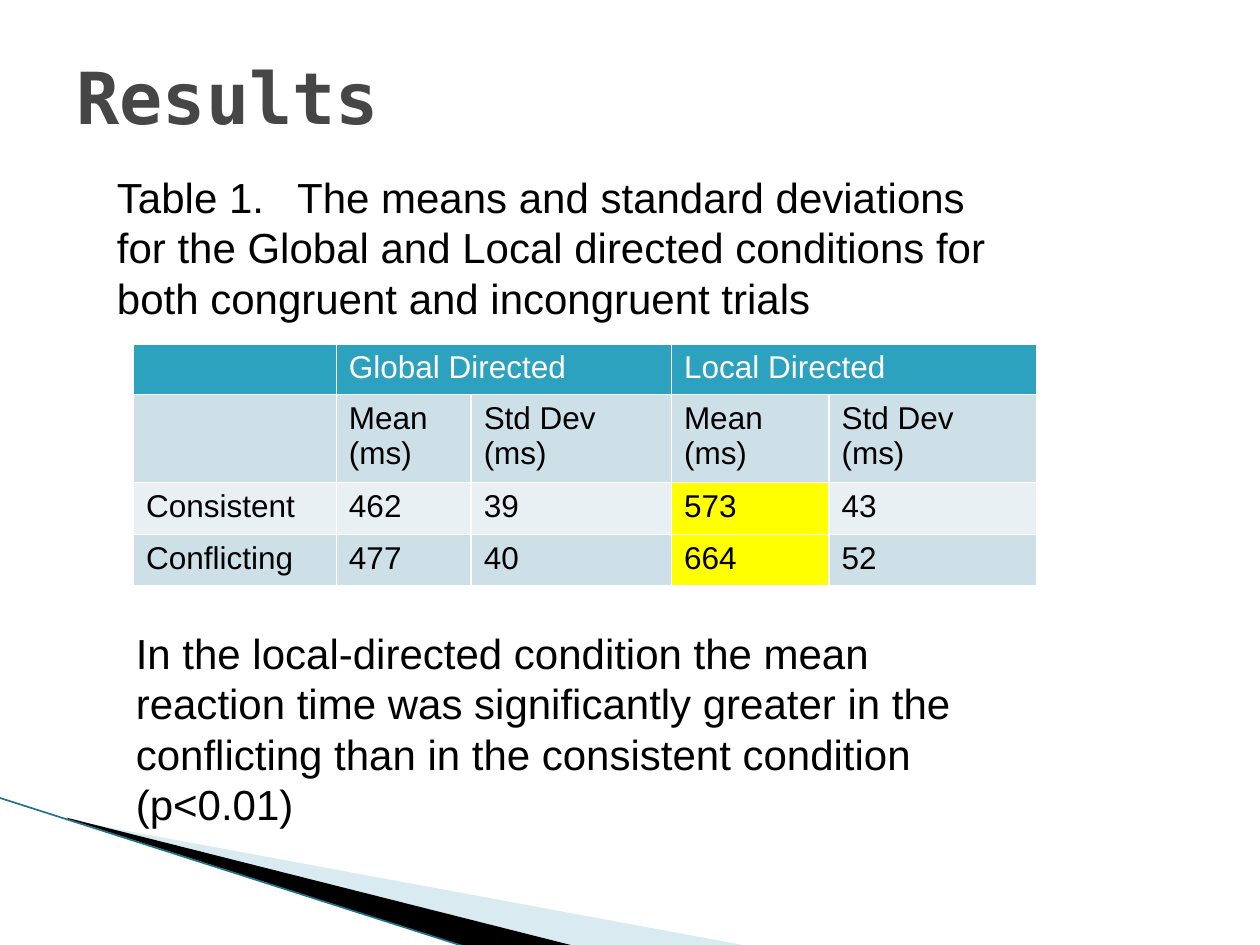
"""Build the Results slide with its table of reaction times."""
from lxml.etree import SubElement
from pptx import Presentation
from pptx.dml.color import RGBColor
from pptx.enum.shapes import MSO_CONNECTOR
from pptx.enum.text import MSO_ANCHOR
from pptx.oxml.ns import qn
from pptx.util import Inches, Pt

WHITE = RGBColor(0xFF, 0xFF, 0xFF)
BLACK = RGBColor(0, 0, 0)
GRAY = RGBColor(0x46, 0x46, 0x46)
TEAL = RGBColor(0x2D, 0xA2, 0xBF)
DARK = RGBColor(0xCD, 0xE0, 0xE8)
LIGHT = RGBColor(0xE8, 0xF0, 0xF4)
YELLOW = RGBColor(0xFF, 0xFF, 0)
PALE = RGBColor(0xA0, 0xCB, 0xDC)
EDGE = RGBColor(0x1F, 0x74, 0x88)

TITLE = "Results"
CAPTION = ("Table 1.\tThe means and standard deviations for the Global and "
           "Local directed conditions for both congruent and incongruent trials")
FINDING = ("In the local-directed condition the mean reaction time was "
           "significantly greater in the conflicting than in the consistent "
           "condition (p<0.01)")
ROWS = [
    ["", "Global Directed", "", "Local Directed", ""],
    ["", "Mean\n(ms)", "Std Dev\n(ms)", "Mean (ms)", "Std Dev\n(ms)"],
    ["Consistent", "462", "39", "573", "43"],
    ["Conflicting", "477", "40", "664", "52"],
]
WIDTHS = [1.61, 1.07, 1.59, 1.25, 1.65]
HEIGHTS = [0.4, 0.7, 0.41, 0.41]
FILLS = [TEAL, DARK, LIGHT, DARK]
MARKED = {(2, 3), (3, 3)}
WEDGES = [
    ((78, 547, 416, 158),
     [(55, 651), (595, 751), (456, 751), (55, 650)], PALE, 40),
    ((-6, 633, 416, 92),
     [(53, 649), (457, 751), (372, 752), (54, 650)], BLACK, 100),
]


def set_frame(shape, frame, points):
    left, top, width, height = frame
    shape.left, shape.top, shape.width, shape.height = [
        Inches(n / 100) for n in frame]
    route = shape._element.spPr.find(".//" + qn("a:pathLst"))[0]
    route.set("w", str(width))
    route.set("h", str(height))
    for spot, (x, y) in zip(route.iter(qn("a:pt")), points):
        spot.set("x", str(x - left))
        spot.set("y", str(y - top))


def add_wedge(slide, frame, points, color, alpha):
    pen = slide.shapes.build_freeform(*points[0], scale=Inches(1) / 100)
    pen.add_line_segments(points[1:], close=True)
    wedge = pen.convert_to_shape()
    set_frame(wedge, frame, points + points[:1])
    wedge.shadow.inherit = False
    wedge.fill.solid()
    wedge.fill.fore_color.rgb = color
    wedge.line.fill.background()
    if alpha < 100:
        tint = wedge.fill._xPr.find(".//" + qn("a:srgbClr"))
        SubElement(tint, qn("a:alpha"), val=str(alpha * 1000))


def add_edge(slide):
    ends = [Inches(n) for n in (-0.01, 6.33, 3.71, 7.52)]
    edge = slide.shapes.add_connector(MSO_CONNECTOR.STRAIGHT, *ends)
    edge.line.color.rgb = EDGE
    edge.line.width = Pt(0.95)
    SubElement(edge._element.spPr, qn("a:effectLst"))


def style(para, size, color, face="Arial", bold=False):
    font = para.font
    font.size, font.name, font.bold = Pt(size), face, bold
    font.color.rgb = color


def add_text(slide, box, text, *look):
    frame = slide.shapes.add_textbox(*[Inches(n) for n in box]).text_frame
    frame.word_wrap = True
    frame.text = text
    style(frame.paragraphs[0], *look)
    return frame


def add_grid(slide):
    box = [Inches(n) for n in (1.06, 2.73, sum(WIDTHS), sum(HEIGHTS))]
    table = slide.shapes.add_table(len(ROWS), len(WIDTHS), *box).table
    for col, width in zip(table.columns, WIDTHS):
        col.width = Inches(width)
    for row, height in zip(table.rows, HEIGHTS):
        row.height = Inches(height)
    for i, row in enumerate(ROWS):
        for j, text in enumerate(row):
            cell = table.cell(i, j)
            cell.text = text
            cell.fill.solid()
            cell.fill.fore_color.rgb = YELLOW if (i, j) in MARKED else FILLS[i]
            for para in cell.text_frame.paragraphs:
                style(para, 18, BLACK if i else WHITE)
    for j in (1, 3):
        table.cell(0, j).merge(table.cell(0, j + 1))


def main():
    deck = Presentation()
    deck.slide_width, deck.slide_height = Inches(10), Inches(7.5)
    slide = deck.slides.add_slide(deck.slide_layouts[6])
    for wedge in WEDGES:
        add_wedge(slide, *wedge)
    add_edge(slide)
    title = add_text(slide, (0.51, 0.29, 9, 0.94), TITLE,
                     41, GRAY, "DejaVu Sans Mono", True)
    title.vertical_anchor = MSO_ANCHOR.MIDDLE
    add_grid(slide)
    note = add_text(slide, (0.83, 1.31, 7.32, 1.31), CAPTION, 24, BLACK)
    props = note.paragraphs[0]._p.get_or_add_pPr()
    tabs = props.makeelement(qn("a:tabLst"))
    SubElement(tabs, qn("a:tab"), pos=str(Inches(1.43)), algn="l")
    props.insert(0, tabs)
    add_text(slide, (0.98, 4.93, 7.24, 1.72), FINDING, 24, BLACK)
    deck.save("out.pptx")


if __name__ == "__main__":
    main()
